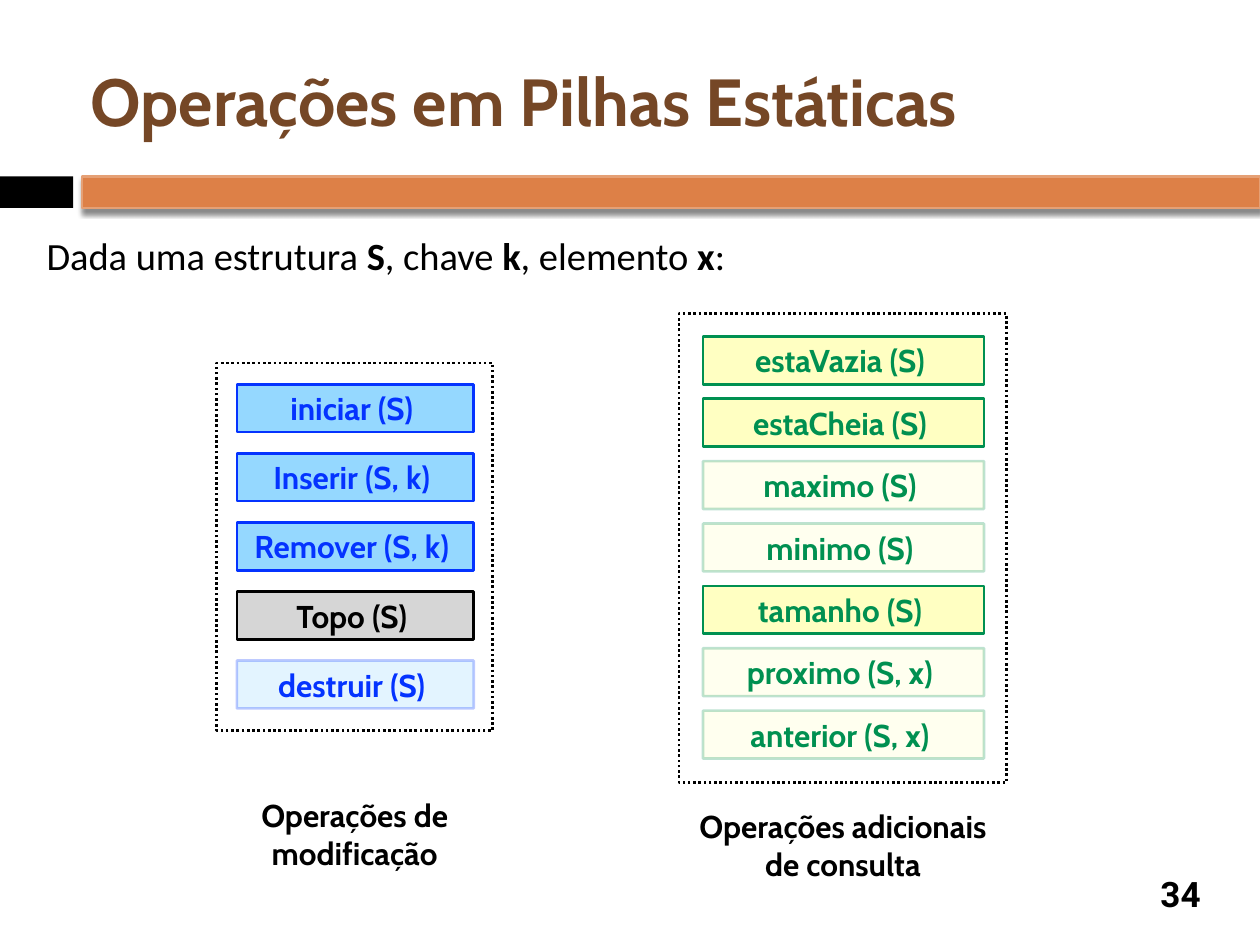
from dataclasses import dataclass
from typing import NamedTuple, Optional

import pptx
import pptx.dml.color
import pptx.enum.dml
import pptx.enum.shapes
import pptx.enum.text
import pptx.oxml
import pptx.oxml.ns
import pptx.util
from lxml import etree

# Grid of 100 columns by 75 rows
COLUMNS, ROWS = 100, 75
WIDTH, HEIGHT = pptx.util.Inches(10), pptx.util.Inches(7.5)
FADED = 26
ALIGN = pptx.enum.text.PP_ALIGN
ANCHOR = pptx.enum.text.MSO_ANCHOR


class Area(NamedTuple):
    column: float
    row: float
    columns: float
    rows: float


class Style(NamedTuple):
    size: float
    font: str
    color: str
    bold: bool = True


class Palette(NamedTuple):
    fill: str
    ink: str


class Operation(NamedTuple):
    call: str
    palette: Palette
    faded: bool = False


@dataclass
class Group:
    frame: Area
    first: Area
    pitch: float
    operations: list[Operation]
    caption_area: Area
    caption: list[str]


def place(area: Area) -> list[int]:
    return [round(area.column / COLUMNS * WIDTH), round(area.row / ROWS * HEIGHT),
            round(area.columns / COLUMNS * WIDTH), round(area.rows / ROWS * HEIGHT)]


def rgb(color: str) -> pptx.dml.color.RGBColor:
    return pptx.dml.color.RGBColor.from_string(color)


def set_frame(frame, anchor, wrap: bool = True) -> None:
    frame.word_wrap = wrap
    frame.auto_size = (pptx.enum.text.MSO_AUTO_SIZE.NONE if wrap
                       else pptx.enum.text.MSO_AUTO_SIZE.SHAPE_TO_FIT_TEXT)
    frame.vertical_anchor = anchor
    for side in ("left", "top", "right", "bottom"):
        setattr(frame, f"margin_{side}", pptx.util.Inches(0.05))


def add_run(paragraph, text: str, style: Style) -> None:
    run = paragraph.add_run()
    run.text = text
    run.font.size = pptx.util.Pt(style.size)
    run.font.name = style.font
    run.font.bold = style.bold
    run.font.color.rgb = rgb(style.color)


def add_text(slide, area: Area, lines: list[list[tuple[str, Style]]],
             align, anchor=ANCHOR.TOP, wrap: bool = True) -> None:
    frame = slide.shapes.add_textbox(*place(area)).text_frame
    set_frame(frame, anchor, wrap)
    for index, runs in enumerate(lines):
        paragraph = frame.add_paragraph() if index else frame.paragraphs[0]
        paragraph.alignment = align
        for text, style in runs:
            add_run(paragraph, text, style)


def add_box(slide, area: Area, fill: Optional[str] = None, line: Optional[str] = None):
    box = slide.shapes.add_shape(pptx.enum.shapes.MSO_SHAPE.RECTANGLE, *place(area))
    box.shadow.inherit = False
    if fill:
        box.fill.solid()
        box.fill.fore_color.rgb = rgb(fill)
    else:
        box.fill.background()
    if line:
        box.line.color.rgb = rgb(line)
        box.line.width = pptx.util.Pt(1.5)
    else:
        box.line.fill.background()
    return box


def fade(box, percent: int) -> None:
    for color in box._element.spPr.iter(pptx.oxml.ns.qn("a:srgbClr")):
        etree.SubElement(color, pptx.oxml.ns.qn("a:alpha"), val=str(percent * 1000))


def add_shadow(box) -> None:
    effects = box._element.spPr.find(pptx.oxml.ns.qn("a:effectLst"))
    effects.append(pptx.oxml.parse_xml(
        f'<a:outerShdw {pptx.oxml.ns.nsdecls("a")} blurRad="{pptx.util.Pt(3)}" '
        f'dist="{pptx.util.Pt(2.4)}" dir="5400000" rotWithShape="0">'
        '<a:srgbClr val="000000"><a:alpha val="45000"/></a:srgbClr></a:outerShdw>'))


def add_group(slide, group: Group) -> None:
    outline = add_box(slide, group.frame, line="000000")
    outline.line.dash_style = pptx.enum.dml.MSO_LINE.ROUND_DOT
    for index, operation in enumerate(group.operations):
        area = group.first._replace(row=group.first.row + index * group.pitch)
        box = add_box(slide, area, operation.palette.fill, operation.palette.ink)
        if operation.faded:
            fade(box, FADED)
        set_frame(box.text_frame, ANCHOR.MIDDLE)
        paragraph = box.text_frame.paragraphs[0]
        paragraph.alignment = ALIGN.CENTER
        add_run(paragraph, operation.call + " ", Style(18, "Cabin", operation.palette.ink))
    caption_style = Style(18, "Cabin", "000000")
    add_text(slide, group.caption_area, [[(line, caption_style)] for line in group.caption],
             ALIGN.CENTER, wrap=False)


BLUE = Palette("95D8FF", "0433FF")
GRAY = Palette("D6D6D6", "000000")
YELLOW = Palette("FFFFC2", "009051")

QUERIES = Group(
    Area(53.9, 24.9, 26, 37.2), Area(55.8, 26.7, 22.3, 3.8), 4.95,
    [Operation("estaVazia (S)", YELLOW), Operation("estaCheia (S)", YELLOW),
     Operation("maximo (S)", YELLOW, True), Operation("minimo (S)", YELLOW, True),
     Operation("tamanho (S)", YELLOW), Operation("proximo (S, x)", YELLOW, True),
     Operation("anterior (S, x)", YELLOW, True)],
    Area(54.8, 63.6, 24.2, 6.3), ["Operações adicionais ", "de consulta"])
CHANGES = Group(
    Area(17.2, 28.8, 21.9, 29.2), Area(18.8, 30.5, 18.8, 3.8), 5.48,
    [Operation("iniciar (S)", BLUE), Operation("Inserir (S, k)", BLUE),
     Operation("Remover (S, k)", BLUE), Operation("Topo (S)", GRAY),
     Operation("destruir (S)", BLUE, True)],
    Area(20.1, 62.7, 16.1, 6.3), ["Operações de ", "modificação"])


def main() -> None:
    deck = pptx.Presentation()
    deck.slide_width, deck.slide_height = WIDTH, HEIGHT
    slide = deck.slides.add_slide(deck.slide_layouts[5])

    # Title
    title = slide.shapes.title
    title.left, title.top, title.width, title.height = place(Area(6.7, 2.5, 89.2, 10.8))
    set_frame(title.text_frame, ANCHOR.MIDDLE)
    heading = title.text_frame.paragraphs[0]
    heading.alignment = ALIGN.LEFT
    add_run(heading, "Operações em Pilhas Estáticas", Style(38, "Cabin", "754726"))

    # Band under the title
    add_box(slide, Area(0, 14, 5.8, 2.5), "000000")
    add_shadow(add_box(slide, Area(6.5, 14, 93.5, 2.5), "DD8047", "E5A075"))

    # Introduction, with the symbols in bold
    plain = Style(22, "Calibri", "000000", False)
    symbol = plain._replace(bold=True)
    add_text(slide, Area(3.2, 17.9, 90, 6.3),
             [[("Dada uma estrutura ", plain), ("S", symbol), (", chave ", plain),
               ("k", symbol), (", elemento ", plain), ("x", symbol), (":", plain)]],
             ALIGN.LEFT)

    # Operation groups
    for group in (QUERIES, CHANGES):
        add_group(slide, group)

    # Slide number
    add_text(slide, Area(90.8, 68.9, 5.8, 4.1), [[("34", Style(20, "Roboto", "000000"))]],
             ALIGN.CENTER, ANCHOR.MIDDLE)

    deck.save("out.pptx")


if __name__ == "__main__":
    main()
